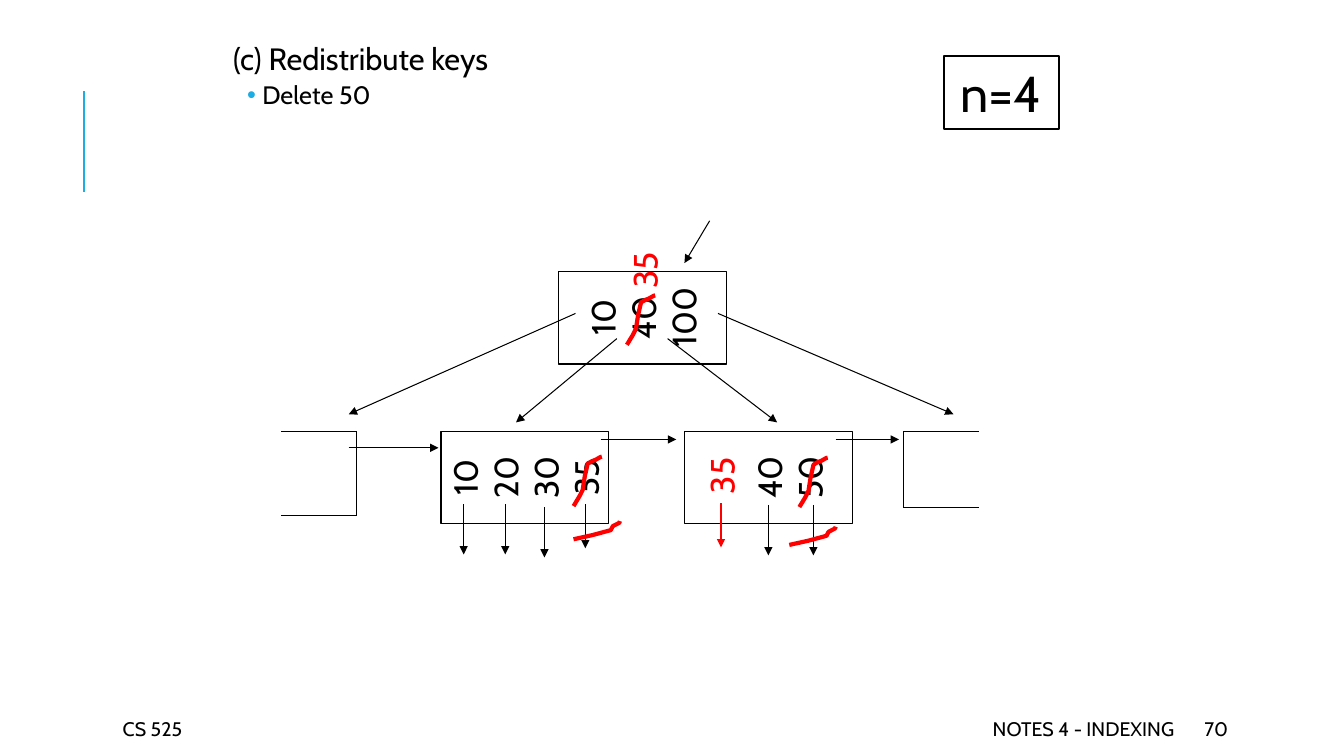
from dataclasses import dataclass

import lxml.etree
import pptx
import pptx.dml.color
import pptx.enum.shapes
import pptx.enum.text
import pptx.oxml.ns
import pptx.util

Pt = pptx.util.Pt
RGB = pptx.dml.color.RGBColor
ALIGN = pptx.enum.text.PP_ALIGN
ANCHOR = pptx.enum.text.MSO_ANCHOR
AUTO_SIZE = pptx.enum.text.MSO_AUTO_SIZE
Point = tuple[float, float]


@dataclass(frozen=True)
class Theme:
    font: str = "Cabin"
    ink: RGB = RGB(0, 0, 0)
    paper: RGB = RGB(255, 255, 255)
    change: RGB = RGB(255, 0, 0)
    accent: RGB = RGB(0x1C, 0xAD, 0xE4)
    footer: float = 14
    bullet: float = 18
    heading: float = 22
    key: float = 24
    order: float = 36
    thin: float = 0.75
    medium: float = 1.5
    thick: float = 3


THEME = Theme()


@dataclass(frozen=True)
class Box:
    left: float
    top: float
    width: float
    height: float


@dataclass(frozen=True)
class Node:
    """A tree node; its keys read upwards, after any empty slots."""
    left: float
    top: float
    keys: tuple[str, ...]
    empty_slots: int = 0


@dataclass(frozen=True)
class Line:
    start: Point
    end: Point
    color: RGB = THEME.ink
    width: float = THEME.thin
    arrow: bool = True


@dataclass(frozen=True)
class Label:
    text: str
    box: Box
    size: float
    color: RGB = THEME.ink
    align: ALIGN = ALIGN.LEFT
    rotation: float = 0
    fitted: bool = False
    border: float = 0


NODE_WIDTH, NODE_HEIGHT, SLOT = 66, 120, 29
NODES = (
    Node(426, 167, ("10", "40", "100")),
    Node(342, 281, ("10", "20", "30", "35")),
    Node(516, 281, ("40", "50"), empty_slots=1),
)

ACCENT_RULE = Line((59.8, 136.8), (59.8, 64.8), THEME.accent, THEME.medium, False)
TREE_POINTERS = (
    Line((506.9, 157.7), (488.9, 187.9)),
    Line((440.6, 241.9), (368.6, 301.7)),
    Line((476.9, 241.9), (555.1, 301.7)),
    Line((411.1, 223.9), (249.1, 295.9)),
    Line((512.9, 223.9), (681.1, 295.9)),
)
SIBLING_POINTERS = (
    Line((249.1, 319.9), (313.2, 319.9)),
    Line((429.1, 313.9), (483.1, 313.9)),
    Line((596.9, 313.9), (642.2, 313.9)),
)
# x, top, length, colour
RECORD_POINTERS = tuple(
    Line((x, top), (x, top + length), color)
    for x, top, length, color in (
        (331.2, 360, 36, THEME.ink),
        (360.9, 360, 36, THEME.ink),
        (388.9, 362.2, 36, THEME.ink),
        (418.1, 360, 31.7, THEME.ink),
        (515, 359.3, 31.7, THEME.change),
        (548.9, 360.7, 36, THEME.ink),
        (581, 360.7, 36, THEME.ink),
    )
)

# Outer corner, then inner corner of the partly visible leaves
OUTER_LEAVES = (((200.9, 308.2), (254.9, 367.9)), ((699.1, 308.2), (645.1, 362.2)))

SLASH = ((0, 35.3), (4.3, 28.2), (6.5, 23.8), (8, 14.1), (10.1, 5),
         (13, 3.3), (15.8, 2.2), (19.1, 0.3), (20.2, 0))
SWEEP = ((0, 13.7), (13.6, 10.7), (26.6, 7.2), (28.1, 4.3), (32.7, 2), (33.1, 0.7))
STRIKES = (
    (SLASH, (447.8, 211)), (SLASH, (409.7, 326.2)), (SLASH, (571, 326.9)),
    (SWEEP, (409.7, 371.5)), (SWEEP, (563.8, 375.5)),
)

LABELS = (
    Label("CS 525", Box(80.6, 509.8, 169.9, 21.6), THEME.footer),
    Label("NOTES 4 - INDEXING", Box(381.6, 509.8, 464.4, 21.6), THEME.footer,
          align=ALIGN.RIGHT),
    Label("70", Box(853.2, 509.8, 76.3, 21.6), THEME.footer),
    Label("n=4", Box(674.2, 40.3, 82.1, 51.8), THEME.order,
          align=ALIGN.CENTER, fitted=True, border=THEME.medium),
) + tuple(
    Label("35", Box(left, top, 41, 36), THEME.key, THEME.change,
          ALIGN.CENTER, rotation=270, fitted=True)
    for left, top in ((494.6, 321.8), (439.7, 175.3))
)


def add_run(paragraph, text: str, size: float, color: RGB = THEME.ink) -> None:
    run = paragraph.add_run()
    run.text = text
    run.font.name = THEME.font
    run.font.size = Pt(size)
    run.font.color.rgb = color


def add_element(parent, tag: str, **attributes: str):
    return lxml.etree.SubElement(parent, pptx.oxml.ns.qn(tag), attributes)


def place(shape, box: Box) -> None:
    shape.left, shape.top = Pt(box.left), Pt(box.top)
    shape.width, shape.height = Pt(box.width), Pt(box.height)


def draw_line(slide, line: Line) -> None:
    connector = slide.shapes.add_connector(
        pptx.enum.shapes.MSO_CONNECTOR.STRAIGHT,
        *(Pt(value) for value in line.start + line.end))
    connector.line.color.rgb = line.color
    connector.line.width = Pt(line.width)
    if line.arrow:
        add_element(connector.line._get_or_add_ln(), "a:tailEnd", type="triangle")
    add_element(connector._element.spPr, "a:effectLst")


def draw_label(slide, label: Label) -> None:
    shape = slide.shapes.add_textbox(0, 0, 0, 0)
    place(shape, label.box)
    shape.rotation = label.rotation
    frame = shape.text_frame
    frame.word_wrap = not label.fitted
    frame.auto_size = AUTO_SIZE.SHAPE_TO_FIT_TEXT if label.fitted else AUTO_SIZE.NONE
    frame.vertical_anchor = ANCHOR.MIDDLE
    frame.paragraphs[0].alignment = label.align
    add_run(frame.paragraphs[0], label.text, label.size, label.color)
    if label.border:
        shape.line.color.rgb = label.color
        shape.line.width = Pt(label.border)


def draw_node(slide, node: Node) -> None:
    shape = slide.shapes.add_shape(pptx.enum.shapes.MSO_SHAPE.RECTANGLE, 0, 0, 0, 0)
    place(shape, Box(node.left, node.top, NODE_WIDTH, NODE_HEIGHT))
    shape.rotation = 270
    shape.shadow.inherit = False
    shape.fill.solid()
    shape.fill.fore_color.rgb = THEME.paper
    shape.line.color.rgb = THEME.ink
    shape.line.width = Pt(THEME.thin)
    frame = shape.text_frame
    frame.word_wrap = False
    frame.vertical_anchor = ANCHOR.MIDDLE
    frame.margin_top = Pt(3.6 + SLOT * node.empty_slots)
    for index, key in enumerate(node.keys):
        paragraph = frame.add_paragraph() if index else frame.paragraphs[0]
        paragraph.alignment = ALIGN.CENTER
        add_run(paragraph, key, THEME.key)


def draw_outer_leaf(slide, outer: Point, inner: Point) -> None:
    """Draw a leaf that is open on its outer side."""
    (open_x, top), (closed_x, bottom) = outer, inner
    corners = ((open_x, top), (closed_x, top), (closed_x, bottom), (open_x, bottom))
    for start, end in zip(corners, corners[1:]):
        draw_line(slide, Line(start, end, arrow=False))


def draw_strike(slide, stroke: tuple[Point, ...], origin: Point) -> None:
    points = [(Pt(origin[0] + x), Pt(origin[1] + y)) for x, y in stroke]
    builder = slide.shapes.build_freeform(*points[0])
    builder.add_line_segments(points[1:], close=False)
    shape = builder.convert_to_shape()
    shape.shadow.inherit = False
    shape.fill.background()
    shape.line.color.rgb = THEME.change
    shape.line.width = Pt(THEME.thick)


def write_body(body) -> None:
    place(body, Box(162.9, 28.1, 367.2, 95.8))
    frame = body.text_frame
    frame.auto_size = AUTO_SIZE.NONE
    frame.vertical_anchor = ANCHOR.TOP
    frame.margin_left = frame.margin_right = Pt(3.6)
    frame.margin_top = frame.margin_bottom = Pt(3.6)
    heading, action = frame.paragraphs[0], frame.add_paragraph()
    action.level = 1
    for paragraph, margin, indent in ((heading, 7.2, -7.2), (action, 20.9, -10.8)):
        properties = paragraph._p.get_or_add_pPr()
        properties.set("marL", str(Pt(margin)))
        properties.set("indent", str(Pt(indent)))
        paragraph.line_spacing = 0.9
    add_element(heading._p.pPr, "a:buNone")
    bullet_color = add_element(action._p.pPr, "a:buClr")
    add_element(bullet_color, "a:srgbClr", val=str(THEME.accent))
    add_element(action._p.pPr, "a:buChar", char="•")
    heading.space_before, heading.space_after = Pt(0), Pt(2)
    action.space_before, action.space_after = Pt(1.5), Pt(4)
    add_run(heading, "(c) Redistribute keys", THEME.heading)
    add_run(action, "Delete 50", THEME.bullet)


def main() -> None:
    deck = pptx.Presentation()
    deck.slide_width, deck.slide_height = Pt(960), Pt(540)
    slide = deck.slides.add_slide(deck.slide_layouts[1])
    title = slide.shapes.title._element
    title.getparent().remove(title)
    write_body(slide.placeholders[1])
    for node in NODES:
        draw_node(slide, node)
    for outer, inner in OUTER_LEAVES:
        draw_outer_leaf(slide, outer, inner)
    for line in (ACCENT_RULE, *TREE_POINTERS, *SIBLING_POINTERS, *RECORD_POINTERS):
        draw_line(slide, line)
    for label in LABELS:
        draw_label(slide, label)
    for stroke, origin in STRIKES:
        draw_strike(slide, stroke, origin)
    deck.save("out.pptx")


if __name__ == "__main__":
    main()
